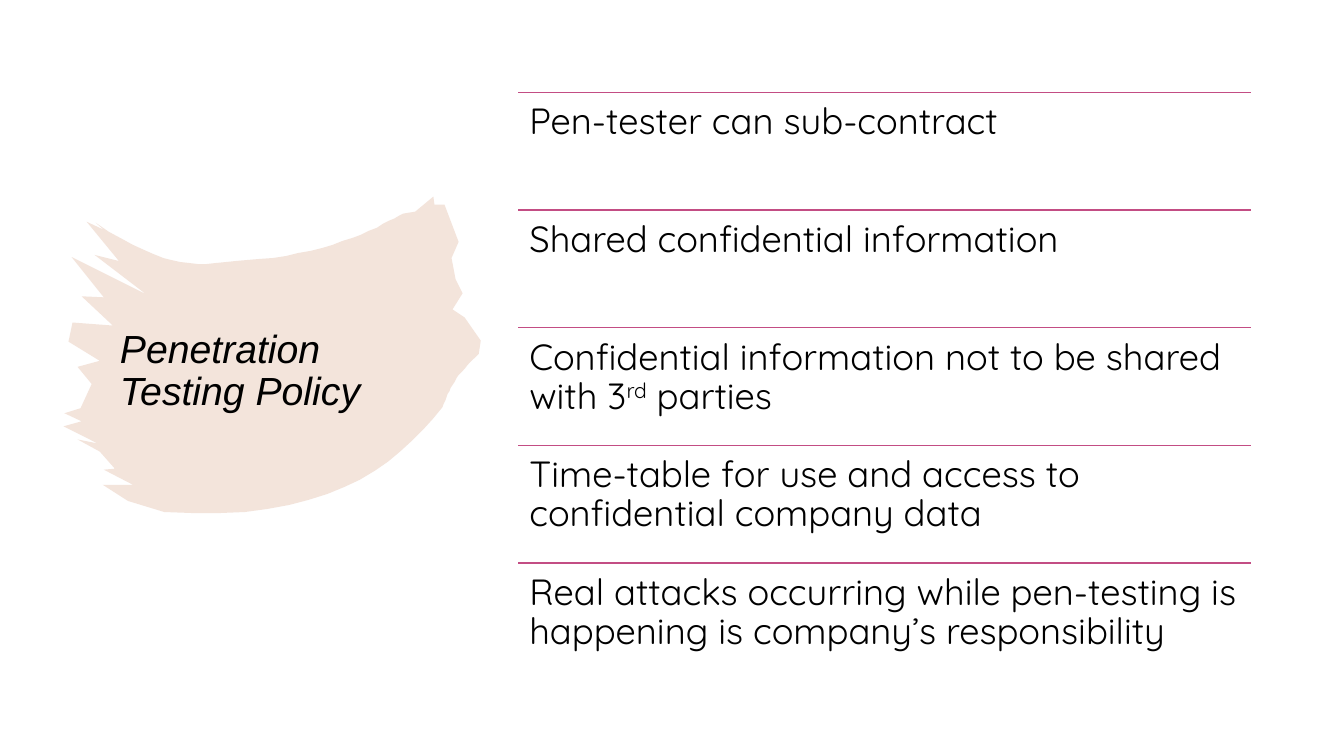
"""Build the Penetration Testing Policy slide."""
from lxml import etree
from pptx import Presentation
from pptx.dml.color import RGBColor
from pptx.enum.shapes import MSO_CONNECTOR
from pptx.enum.text import MSO_ANCHOR, MSO_AUTO_SIZE, PP_ALIGN
from pptx.oxml.ns import qn
from pptx.util import Pt

STRAIGHT = MSO_CONNECTOR.STRAIGHT
TOP, MIDDLE = MSO_ANCHOR.TOP, MSO_ANCHOR.MIDDLE
NO_FIT = MSO_AUTO_SIZE.NONE
LEFT = PP_ALIGN.LEFT

TITLE = "Penetration Testing Policy"
POLICIES = [
    [("Pen-tester can sub-contract", 0)],
    [("Shared confidential information", 0)],
    [("Confidential information not to be shared with 3", 0), ("rd", 30000), (" parties", 0)],
    [("Time-table for use and access to confidential company data", 0)],
    [("Real attacks occurring while pen-testing is happening is company’s responsibility", 0)],
]

THEME = {
    "ink": RGBColor(0x00, 0x00, 0x00),
    "rule": RGBColor(0xC3, 0x4D, 0x84),
    "brush": RGBColor(0xC3, 0x78, 0x4D),
    "brush_alpha": 20000,
    "title_font": {"name": "Arial", "size": Pt(28), "italic": True},
    "policy_font": {"name": "Quicksand", "size": Pt(26)},
}
TITLE_FRAME = {"word_wrap": True, "auto_size": NO_FIT, "vertical_anchor": MIDDLE}
INSETS = dict.fromkeys(("margin_left", "margin_right", "margin_top", "margin_bottom"), Pt(7.8))
POLICY_FRAME = {"word_wrap": True, "auto_size": NO_FIT, "vertical_anchor": TOP, **INSETS}
PARAGRAPH = {"alignment": LEFT, "line_spacing": 0.9}

SLIDE_SIZE = (960, 540)
TITLE_BOX = (78.5, 206.6, 236.9, 118)
LIST_LEFT, LIST_TOP, LIST_WIDTH, LIST_PITCH = 370.3, 66.1, 523.6, 84

BRUSH_UNIT = Pt(0.72)
CURVE_STEPS = 16
BRUSH_OUTLINE = [
    (430, 195), (431, 203), (441, 203), (455, 240), (448, 256), (452, 277),
    (459, 291), (449, 307), (461, 315), (477, 338), (475, 351),
    (452, 372, 446, 386, 439, 404), (390, 465, 320, 520, 163, 508),
    (127, 497), (102, 481), (132, 481), (103, 466), (114, 465), (99, 448),
    (77, 436), (97, 440), (63, 423), (81, 418), (64, 410), (80, 405),
    (91, 381), (77, 364), (99, 358), (68, 339), (72, 320), (112, 323),
    (81, 294), (103, 295), (71, 255), (145, 292), (94, 253), (118, 259),
    (86, 220), (103, 228), (95, 221),
    (170, 270, 190, 264, 257, 257), (332, 251, 381, 222, 400, 212), (412, 210),
]


def points(*lengths):
    return [Pt(length) for length in lengths]


def assign(target, values):
    for attribute, value in values.items():
        setattr(target, attribute, value)


def write(shape, portions, frame_format, font_format):
    assign(shape.text_frame, frame_format)
    paragraph = shape.text_frame.paragraphs[0]
    assign(paragraph, PARAGRAPH)
    for words, baseline in portions:
        portion = paragraph.add_run()
        portion.text = words
        assign(portion.font, font_format)
        portion.font.color.rgb = THEME["ink"]
        if baseline:
            portion._r.get_or_add_rPr().set("baseline", str(baseline))


def flatten(outline):
    vertices = []
    for step in outline:
        if len(step) == 2:
            vertices.append(step)
            continue
        controls = [vertices[-1], step[:2], step[2:4], step[4:]]
        for index in range(1, CURVE_STEPS + 1):
            t = index / CURVE_STEPS
            weights = ((1 - t) ** 3, 3 * t * (1 - t) ** 2, 3 * t * t * (1 - t), t ** 3)
            vertices.append(tuple(
                sum(weight * control[axis] for weight, control in zip(weights, controls))
                for axis in (0, 1)))
    return vertices


def add_brush(slide):
    start, *rest = flatten(BRUSH_OUTLINE)
    builder = slide.shapes.build_freeform(*start, scale=BRUSH_UNIT)
    builder.add_line_segments(rest, close=True)
    brush = builder.convert_to_shape()
    brush.shadow.inherit = False
    brush.line.fill.background()
    brush.fill.solid()
    brush.fill.fore_color.rgb = THEME["brush"]
    tint = brush._element.spPr.find(qn("a:solidFill"))[0]
    etree.SubElement(tint, qn("a:alpha")).set("val", str(THEME["brush_alpha"]))


def add_title(slide):
    title = slide.shapes.title
    assign(title, dict(zip(("left", "top", "width", "height"), points(*TITLE_BOX))))
    write(title, [(TITLE, 0)], TITLE_FRAME, THEME["title_font"])
    slide.shapes._spTree.append(title._element)


def add_policy(slide, row, policy):
    top = LIST_TOP + row * LIST_PITCH
    rule = slide.shapes.add_connector(
        STRAIGHT, *points(LIST_LEFT, top, LIST_LEFT + LIST_WIDTH, top))
    rule.line.color.rgb = THEME["rule"]
    rule.line.width = Pt(1)
    etree.SubElement(rule._element.spPr, qn("a:effectLst"))
    entry = slide.shapes.add_textbox(*points(LIST_LEFT, top, LIST_WIDTH, LIST_PITCH))
    write(entry, policy, POLICY_FRAME, THEME["policy_font"])


def main():
    deck = Presentation()
    deck.slide_width, deck.slide_height = points(*SLIDE_SIZE)
    slide = deck.slides.add_slide(deck.slide_layouts.get_by_name("Title Only"))
    add_brush(slide)
    add_title(slide)
    for row, policy in enumerate(POLICIES):
        add_policy(slide, row, policy)
    deck.save("out.pptx")


if __name__ == "__main__":
    main()
